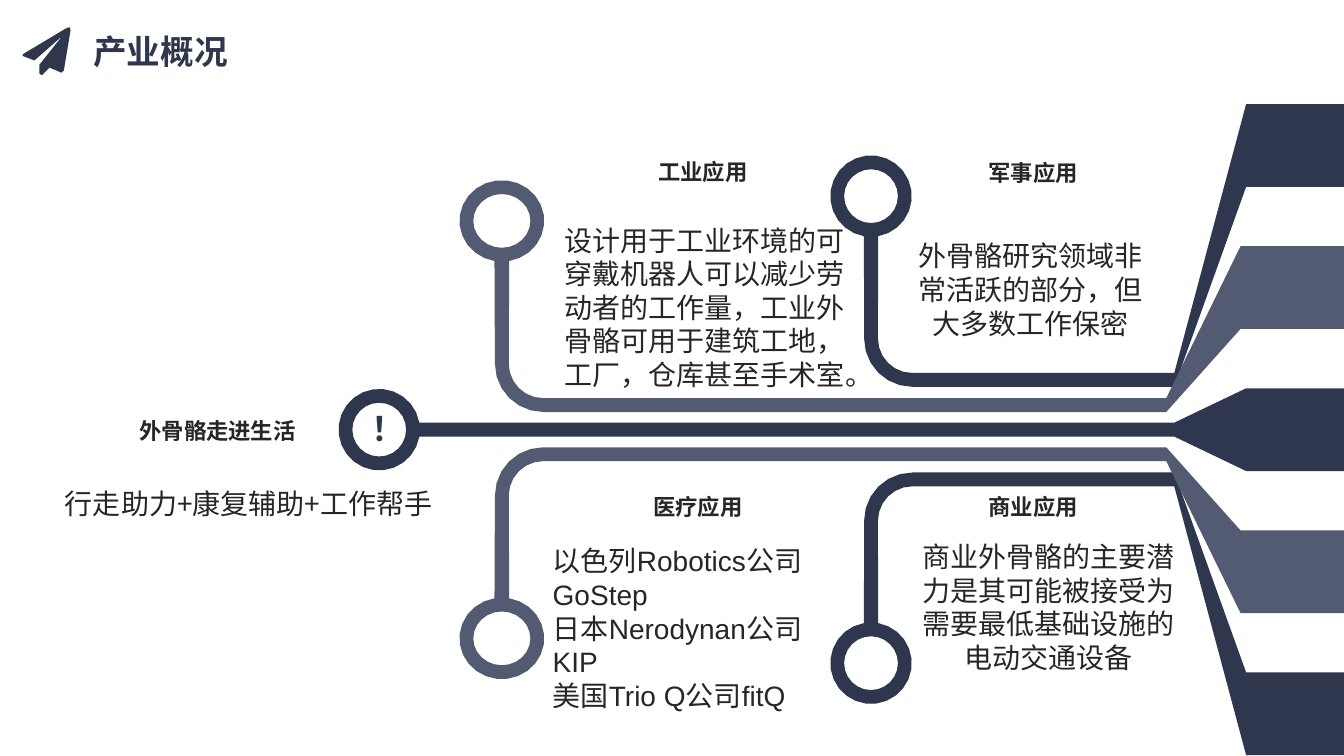
from math import cos, sin, radians
from lxml.etree import SubElement
from pptx import Presentation
from pptx.dml.color import RGBColor
from pptx.enum.lang import MSO_LANGUAGE_ID as Lang
from pptx.enum.text import MSO_ANCHOR as Anchor, MSO_AUTO_SIZE as Fit, PP_ALIGN as Align
from pptx.oxml.ns import qn
from pptx.util import Inches, Pt

# Grid of 160 columns by 90 rows with square cells
COLS, ROWS = 160, 90
CELL = Inches(1) / 12
AXIS = 51.15         # row of the mirror line
BAR = 1.65           # thickness of rings and stems
BEND = 4.1           # inner radius of a bend
FLARE = 9.85         # height of a band at the right edge

NAVY = RGBColor(0x2F, 0x37, 0x4E)
SLATE = RGBColor(0x53, 0x5B, 0x72)
INK = RGBColor(0x26, 0x26, 0x26)
SANS = "Noto Sans CJK SC"
LATIN = "Arial"


def grid(*cells):
    return [round(n * CELL) for n in cells]


def arc(x, y, rx, ry, start, end):
    steps = round(abs(end - start) / 15)
    turns = [radians(start + (end - start) * i / steps) for i in range(steps + 1)]
    return [(x + rx * cos(t), y + ry * sin(t)) for t in turns]


def draw(slide, color, *loops):
    """Fill closed outlines as one shape."""
    pen = None
    for loop in loops:
        first, *rest = [grid(*point) for point in loop]
        if pen is None:
            pen = slide.shapes.build_freeform(*first, scale=1.0)
        else:
            pen.move_to(*first)
        pen.add_line_segments(rest, close=True)
    shape = pen.convert_to_shape()
    shape.shadow.inherit = False
    shape.fill.solid()
    shape.fill.fore_color.rgb = color
    shape.line.fill.background()


def hole(x, y, rx, ry):
    return arc(x, y, rx - BAR, ry - BAR, 0, 345)


def band(turn, top):
    """Right-hand end of a stem, from bottom to top."""
    return [(turn, top + FLARE), (COLS, top + FLARE), (COLS, top), (turn, top)]


def branch(slide, color, x, y, rx, neck, bar, turn, top, flip):
    """Ring, bent stem and band, above the axis or mirrored below it."""
    ry, half = 4.85, BAR / 2
    hub, mid = x + half + BEND, bar - BEND
    outline = [
        (neck, bar),
        *arc(hub, mid, BEND, BEND, 90, 180),
        *arc(x, y, rx, ry, 80, -260),
        *arc(hub, mid, BEND + BAR, BEND + BAR, 180, 90),
        (neck, bar + BAR),
        *band(turn, top),
    ]
    loops = [outline, hole(x, y, rx, ry)]
    if flip:
        loops = [[(a, 2 * AXIS - b) for a, b in loop] for loop in loops]
    draw(slide, color, *loops)


def trunk(slide):
    x, r, neck = 45.15, 4.85, 139.8
    outline = [
        (neck, AXIS - BAR / 2),
        *arc(x, AXIS, r, r, -10, -350),
        (neck, AXIS + BAR / 2),
        *band(148.35, AXIS - FLARE / 2),
    ]
    draw(slide, NAVY, outline, hole(x, AXIS, r, r))


def plane(slide):
    draw(slide, NAVY, [
        (8.4, 3.6), (7.6, 8.4), (7.3, 8.65), (5.9, 8.05), (5, 8.95), (4.7, 8.8),
        (4.7, 7.7), (7.4, 4.3), (4.1, 7.2), (2.8, 6.7), (2.65, 6.55),
        (2.8, 6.4), (8, 3.3), (8.3, 3.25)])


def write(shape, text, size, color=INK, face=LATIN, bold=False, align=Align.CENTER):
    """Fill a box or placeholder and format its runs."""
    shape.text_frame.text = text
    for para in shape.text_frame.paragraphs:
        para.alignment = align
        para.space_before = Pt(0)
        for run in para.runs:
            font = run.font
            font.size, font.bold, font.name = Pt(size), bold, face
            font.color.rgb = color
            font.language_id = Lang.SIMPLIFIED_CHINESE
            SubElement(font._element, qn("a:ea")).set("typeface", face)


def place(shape, area, anchor=Anchor.TOP, left=0.1):
    shape.left, shape.top, shape.width, shape.height = grid(*area)
    frame = shape.text_frame
    frame.word_wrap, frame.auto_size = True, Fit.NONE
    frame.vertical_anchor = anchor
    frame.margin_left, frame.margin_right = Inches(left), Inches(0.1)
    frame.margin_top = frame.margin_bottom = Inches(0.05)


def box(slide, area, text, size, anchor=Anchor.TOP, left=0.1, **style):
    shape = slide.shapes.add_textbox(0, 0, 0, 0)
    place(shape, area, anchor, left)
    write(shape, text, size, **style)
    return shape


def label(slide, mid, top, text):
    box(slide, (mid - 9.6, top, 19.2, 4.4), text, 16, face=SANS, bold=True)


def note(slide, area, text):
    box(slide, area, text, 20, Anchor.MIDDLE, 0)


def makers(shape):
    """Plain list in the body placeholder."""
    place(shape, (65.8, 72.25, 33, 5), Anchor.MIDDLE, 0)
    write(shape, "以色列Robotics公司GoStep\n日本Nerodynan公司KIP\n美国Trio Q公司fitQ",
          20, align=Align.LEFT)
    for para in shape.text_frame.paragraphs:
        props = para._p.get_or_add_pPr()
        props.set("marL", "0")
        props.set("indent", "0")
        SubElement(props, qn("a:buNone"))


def main():
    deck = Presentation()
    deck.slide_width, deck.slide_height = grid(COLS, ROWS)
    slide = deck.slides.add_slide(deck.slide_layouts[1])
    title, body = slide.placeholders

    # Heading
    plane(slide)
    place(title, (9.9, 3.1, 42.7, 6))
    write(title, "产业概况", 24, color=NAVY, face=SANS, bold=True, align=Align.LEFT)

    # Stems fanning out to the right edge
    for flip in (False, True):
        branch(slide, NAVY, 103.7, 23.35, 4.85, 139.8, 44.4, 148.35, 12.4, flip)
        branch(slide, SLATE, 59.75, 26.3, 5.05, 138.85, 47.4, 147.7, 29.3, flip)
    trunk(slide)

    # Main topic
    mark = box(slide, (43.1, 48, 6.5, 6), "！", 24, color=NAVY, bold=True,
               align=Align.LEFT)
    mark.text_frame.word_wrap = False
    box(slide, (12.4, 49.1, 24, 4.4), "外骨骼走进生活", 16, face=SANS, bold=True,
        align=Align.RIGHT)
    box(slide, (1.9, 57.3, 50.8, 5.3), "行走助力+康复辅助+工作帮手", 20, face=SANS,
        align=Align.RIGHT)

    # Fields of use
    label(slide, 83.7, 18.2, "工业应用")
    label(slide, 123, 18.3, "军事应用")
    label(slide, 83.1, 58.1, "医疗应用")
    label(slide, 123, 58.1, "商业应用")
    note(slide, (66.9, 33.25, 35.2, 6.6),
         "设计用于工业环境的可穿戴机器人可以减少劳动者的工作量，"
         "工业外骨骼可用于建筑工地，工厂，仓库甚至手术室。")
    note(slide, (109.2, 31.15, 28.1, 6.6),
         "外骨骼研究领域非常活跃的部分，但大多数工作保密")
    note(slide, (109.8, 67.7, 31.3, 9.1),
         "商业外骨骼的主要潜力是其可能被接受为需要最低基础设施的电动交通设备")
    makers(body)

    deck.save("out.pptx")


if __name__ == "__main__":
    main()
